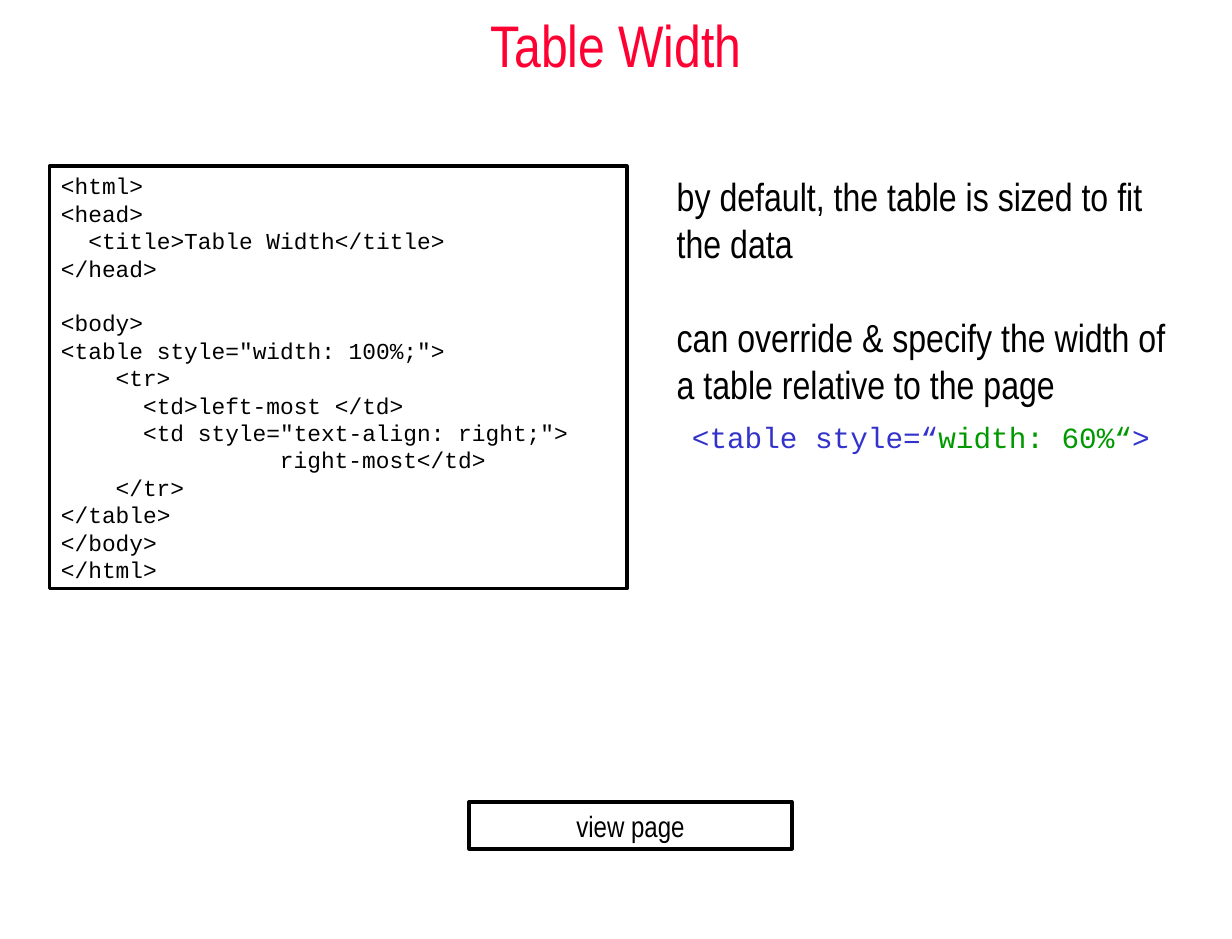
from pptx import Presentation
from pptx.dml.color import RGBColor
from pptx.enum.shapes import MSO_SHAPE
from pptx.enum.text import MSO_ANCHOR, PP_ALIGN
from pptx.util import Cm, Pt

NARROW, MONO = "Arial Narrow", "Courier New"
BLACK, RED, BLUE, GREEN = "000000", "FF0033", "3333CC", "009900"
LINE_HEIGHT = 1.2
CODE_SIZE = 14
CHAR_WIDTH = 0.6 * CODE_SIZE

HTML = """<html>
<head>
  <title>Table Width</title>
</head>

<body>
<table style="width: 100%;">
    <tr>
      <td>left-most </td>
      <td style="text-align: right;">
                right-most</td>
    </tr>
</table>
</body>
</html>"""


def rgb(value):
    return RGBColor.from_string(value)


def add_run(p, text, size, font=NARROW, color=BLACK):
    r = p.add_run()
    r.text = text
    for name, value in {"size": Pt(size), "name": font}.items():
        setattr(r.font, name, value)
    r.font.color.rgb = rgb(color)


def add_paragraph(tf, first=False, indent=0, **formats):
    """Start a paragraph with a left indent; formats are paragraph attributes."""
    p = tf.paragraphs[0] if first else tf.add_paragraph()
    for name, value in formats.items():
        setattr(p, name, value)
    if indent:
        p._p.get_or_add_pPr().set("marL", str(int(indent)))
    return p


def format_title(title, text):
    title.left, title.top, title.width, title.height = Cm(0), Cm(0), Cm(26.67), Cm(1.9)
    tf = title.text_frame
    tf.vertical_anchor = MSO_ANCHOR.MIDDLE
    p = add_paragraph(tf, first=True, alignment=PP_ALIGN.CENTER)
    add_run(p, text, 36, color=RED)


def add_frame(s, left, top, width, height, anchor):
    """Add an unfilled, black-outlined rectangle and return its text frame."""
    sp = s.shapes.add_shape(MSO_SHAPE.RECTANGLE, Cm(left), Cm(top), Cm(width), Cm(height))
    sp.shadow.inherit = False
    sp.fill.background()
    sp.line.color.rgb = rgb(BLACK)
    sp.line.width = Pt(2.25)
    sp.text_frame.word_wrap = True
    sp.text_frame.vertical_anchor = anchor
    return sp.text_frame


def add_code(s):
    tf = add_frame(s, 1.07, 3.6, 12.5, 9.14, MSO_ANCHOR.TOP)
    pitch = LINE_HEIGHT * CODE_SIZE
    gap = 0
    for i, line in enumerate(HTML.splitlines()):
        code = line.lstrip()
        if not code:
            gap = pitch
            continue
        p = add_paragraph(tf, first=i == 0, indent=Pt(CHAR_WIDTH * (len(line) - len(code))),
                          alignment=PP_ALIGN.LEFT, line_spacing=Pt(pitch),
                          space_before=Pt(gap))
        add_run(p, code, CODE_SIZE, MONO)
        gap = 0


def add_notes_on_width(s):
    tf = s.shapes.add_textbox(Cm(14.4), Cm(3.6), Cm(11.23), Cm(12.07)).text_frame
    tf.word_wrap = True
    pitch = Pt(LINE_HEIGHT * 24)
    remarks = ["by default, the table is sized to fit the data",
               "can override & specify the width of a table relative to the page"]
    for i, text in enumerate(remarks):
        p = add_paragraph(tf, first=i == 0, line_spacing=pitch, space_before=pitch * i)
        add_run(p, text, 24)
    p = add_paragraph(tf, indent=Cm(0.33), space_before=Pt(12),
                      line_spacing=Pt(0.8 * LINE_HEIGHT * 18))
    for text, color in [("<table style=“", BLUE), ("width: 60%“", GREEN), (">", BLUE)]:
        add_run(p, text, 18, MONO, color)


def add_button(s, text):
    tf = add_frame(s, 10.16, 17.35, 6.98, 1.02, MSO_ANCHOR.MIDDLE)
    add_run(add_paragraph(tf, first=True, alignment=PP_ALIGN.CENTER), text, 18)


def main():
    prs = Presentation()
    prs.slide_width, prs.slide_height = Cm(26.67), Cm(20.32)
    s = prs.slides.add_slide(prs.slide_layouts[5])
    format_title(s.shapes.title, "Table Width")
    add_notes_on_width(s)
    add_code(s)
    add_button(s, "view page")
    prs.save("out.pptx")


if __name__ == "__main__":
    main()
